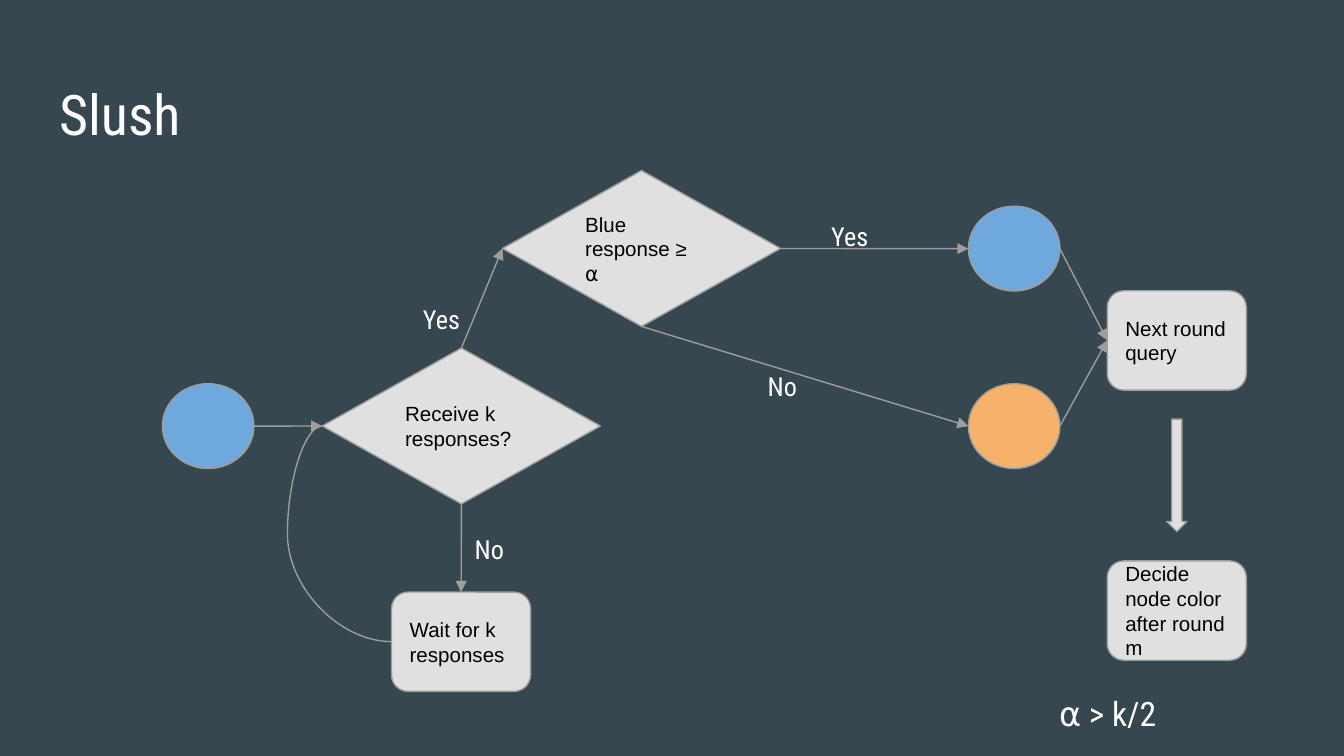
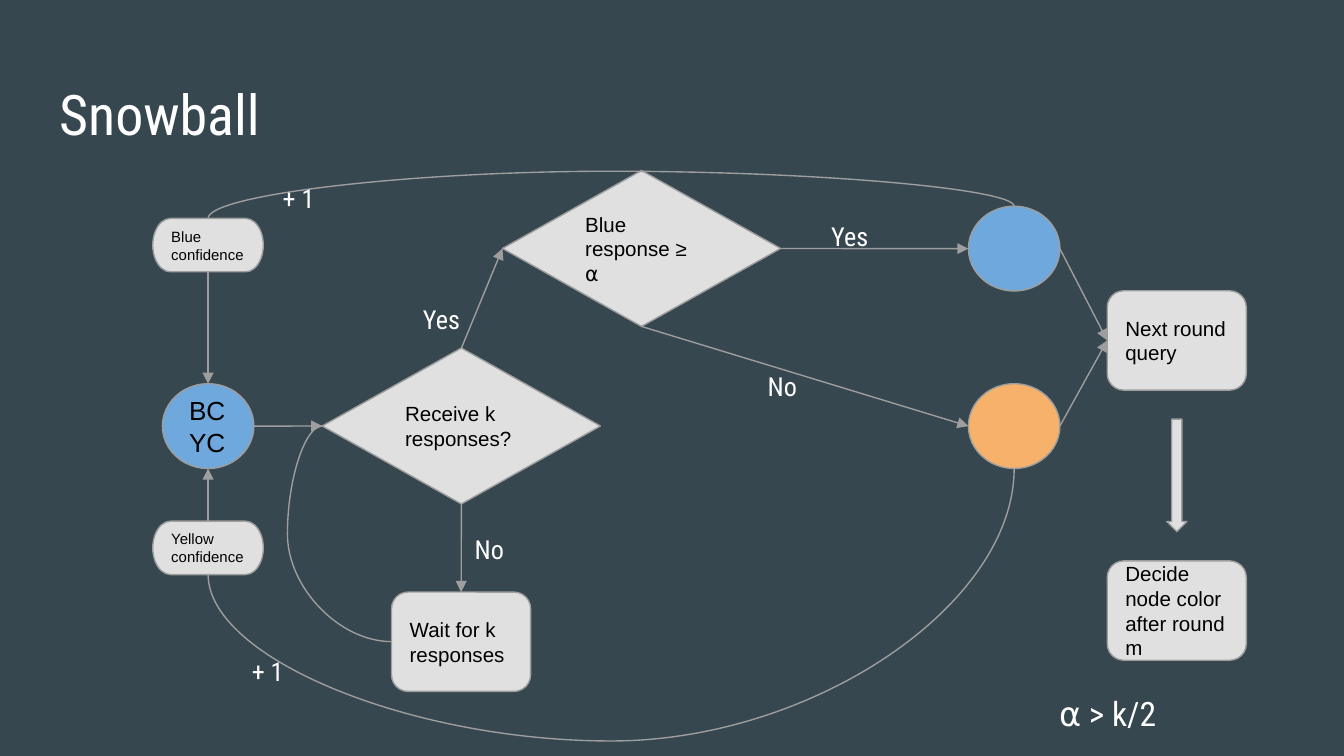
"""Build two flow charts of the Slush and Snowball voting rounds."""
from pptx import Presentation
from pptx.dml.color import RGBColor
from pptx.enum.shapes import MSO_CONNECTOR, MSO_SHAPE
from pptx.enum.text import MSO_ANCHOR, MSO_AUTO_SIZE, PP_ALIGN
from pptx.oxml.ns import qn
from pptx.util import Pt
from lxml import etree

OVAL = MSO_SHAPE.OVAL
DIAMOND = MSO_SHAPE.DIAMOND
ROUND = MSO_SHAPE.ROUNDED_RECTANGLE
PILL = MSO_SHAPE.FLOWCHART_TERMINATOR
DOWN = MSO_SHAPE.DOWN_ARROW
STRAIGHT, CURVE = MSO_CONNECTOR.STRAIGHT, MSO_CONNECTOR.CURVE
TOP, LEFT, BOTTOM, RIGHT = range(4)

COLORS = {
    "back": "37474F", "white": "FFFFFF", "black": "000000", "line": "9E9E9E",
    "box": "E0E0E0", "blue": "6FA8DC", "orange": "F6B26B",
}
HEAD, BODY = "Roboto Condensed", "Arial"
SIZES = {OVAL: (49, 45.4), DIAMOND: (149, 83.5), ROUND: (74.5, 53.2),
         PILL: (59.2, 28.6), DOWN: (10.8, 60.2)}


def rgb(name):
    return RGBColor.from_string(COLORS[name])


def write(shape, text, size, face, color, anchor):
    frame = shape.text_frame
    frame.text = text
    frame.word_wrap = True
    frame.auto_size = MSO_AUTO_SIZE.NONE
    frame.vertical_anchor = anchor
    frame.margin_left = frame.margin_right = Pt(7.2)
    frame.margin_top = frame.margin_bottom = Pt(7.2)
    for para in frame.paragraphs:
        para.alignment = PP_ALIGN.LEFT
        para.font.size = Pt(size)
        para.font.name = face
        para.font.color.rgb = rgb(color)


def add_title(slide, text):
    title = slide.shapes.title
    title.left, title.top = Pt(24.5), Pt(35.5)
    title.width, title.height = Pt(671), Pt(45)
    write(title, text, 30, HEAD, "white", MSO_ANCHOR.TOP)


def add_label(slide, text, left, top, width=42.5, height=22.3, size=14):
    box = slide.shapes.add_textbox(Pt(left), Pt(top), Pt(width), Pt(height))
    write(box, text, size, HEAD, "white", MSO_ANCHOR.TOP)


def add_node(slide, kind, left, top, text="", size=11, color="box"):
    width, height = SIZES[kind]
    node = slide.shapes.add_shape(kind, Pt(left), Pt(top), Pt(width), Pt(height))
    node.shadow.inherit = False
    node.fill.solid()
    node.fill.fore_color.rgb = rgb(color)
    node.line.color.rgb = rgb("line")
    node.line.width = Pt(0.75)
    if text:
        write(node, text, size, BODY, "black", MSO_ANCHOR.MIDDLE)
    return node


def side(node, site):
    """Return the middle of one side of a node."""
    across = {LEFT: 0, RIGHT: node.width}.get(site, node.width // 2)
    down = {TOP: 0, BOTTOM: node.height}.get(site, node.height // 2)
    return node.left + across, node.top + down


def add_line(slide, kind, start, end, arrow=False):
    line = slide.shapes.add_connector(kind, *start, *end)
    line.line.color.rgb = rgb("line")
    line.line.width = Pt(0.75)
    props = line._element.spPr
    if arrow:
        etree.SubElement(props.find(qn("a:ln")), qn("a:tailEnd"), type="triangle")
    etree.SubElement(props, qn("a:effectLst"))
    return line


def add_arrow(slide, first, out, last, into):
    """Join two nodes; an oval has eight sites, so its site numbers double."""
    line = add_line(slide, STRAIGHT, side(first, out), side(last, into), True)
    line.begin_connect(first, out)
    line.end_connect(last, into)
    ends = line._element.nvCxnSpPr.cNvCxnSpPr
    for node, end in ((first, ends.stCxn), (last, ends.endCxn)):
        if node.auto_shape_type == OVAL:
            end.idx *= 2


def add_curve(slide, start, end, reach, turned=False):
    """Draw a curve that bulges by reach points, turned to leave vertically."""
    (x1, y1), (x2, y2) = start, end
    span = abs(x2 - x1)
    if turned:
        span = y2 - y1
        mid_x, mid_y = (x1 + x2) // 2, (y1 + y2) // 2
        half_x, half_y = span // 2, abs(x2 - x1) // 2
        start = mid_x - half_x, mid_y - half_y
        end = mid_x + half_x, mid_y + half_y
    props = add_line(slide, CURVE, start, end)._element.spPr
    if turned:
        props.find(qn("a:xfrm")).set("rot", "5400000")
    bend = round(Pt(reach) / span * 100000)
    guides = props.find(qn("a:prstGeom")).find(qn("a:avLst"))
    etree.SubElement(guides, qn("a:gd"), name="adj1", fmla=f"val {bend}")


def add_flow(deck, title, state=""):
    """Add a slide with the shared query flow and return its colour nodes."""
    slide = deck.slides.add_slide(deck.slide_layouts[5])
    add_title(slide, title)
    start = add_node(slide, OVAL, 87, 205.6, state, 14, "blue")
    reply = add_node(slide, DIAMOND, 172.7, 186.5, "Receive k responses?")
    vote = add_node(slide, DIAMOND, 269.2, 91.4, "Blue response ≥\n⍺")
    blue = add_node(slide, OVAL, 518.8, 110.5, color="blue")
    orange = add_node(slide, OVAL, 518.8, 205.6, color="orange")
    query = add_node(slide, ROUND, 593.2, 155.8, "Next round query")
    wait = add_node(slide, ROUND, 209.8, 317.2, "Wait for k responses")
    add_node(slide, ROUND, 593.2, 300.5, "Decide node color after round m")
    add_node(slide, DOWN, 625.05, 224.6)
    for link in (
        (start, RIGHT, reply, LEFT),
        (reply, TOP, vote, LEFT),
        (reply, BOTTOM, wait, TOP),
        (vote, RIGHT, blue, LEFT),
        (vote, BOTTOM, orange, LEFT),
        (blue, RIGHT, query, LEFT),
        (orange, RIGHT, query, LEFT),
    ):
        add_arrow(slide, *link)
    add_curve(slide, side(wait, LEFT), side(reply, LEFT), 55.8)
    for text, left, top in (("Yes", 219.5, 155.5), ("No", 247.2, 278.5),
                            ("Yes", 438.2, 110.8), ("No", 404.2, 191.2)):
        add_label(slide, text, left, top)
    add_label(slide, "⍺ > k/2", 560.3, 363.8, 159.7, 41.2, 18)
    return slide, start, blue, orange


def add_trust(slide, start, blue, orange):
    """Add the confidence counters and their feedback curves."""
    high = add_node(slide, PILL, 81.9, 117, "Blue confidence", 8)
    low = add_node(slide, PILL, 81.9, 279.2, "Yellow confidence", 8)
    add_arrow(slide, high, BOTTOM, start, TOP)
    add_arrow(slide, low, TOP, start, BOTTOM)
    add_curve(slide, side(blue, TOP), side(high, TOP), -18.8, True)
    add_curve(slide, side(orange, BOTTOM), side(low, BOTTOM), 146, True)
    add_label(slide, "+ 1", 144.3, 90.5, 56)
    add_label(slide, "+ 1", 127.8, 343.8, 56)


def main():
    deck = Presentation()
    deck.slide_width, deck.slide_height = Pt(720), Pt(405)
    fill = deck.slide_master.background.fill
    fill.solid()
    fill.fore_color.rgb = rgb("back")
    add_flow(deck, "Slush")
    add_trust(*add_flow(deck, "Snowball", "BC\nYC"))
    deck.save("out.pptx")


if __name__ == "__main__":
    main()
